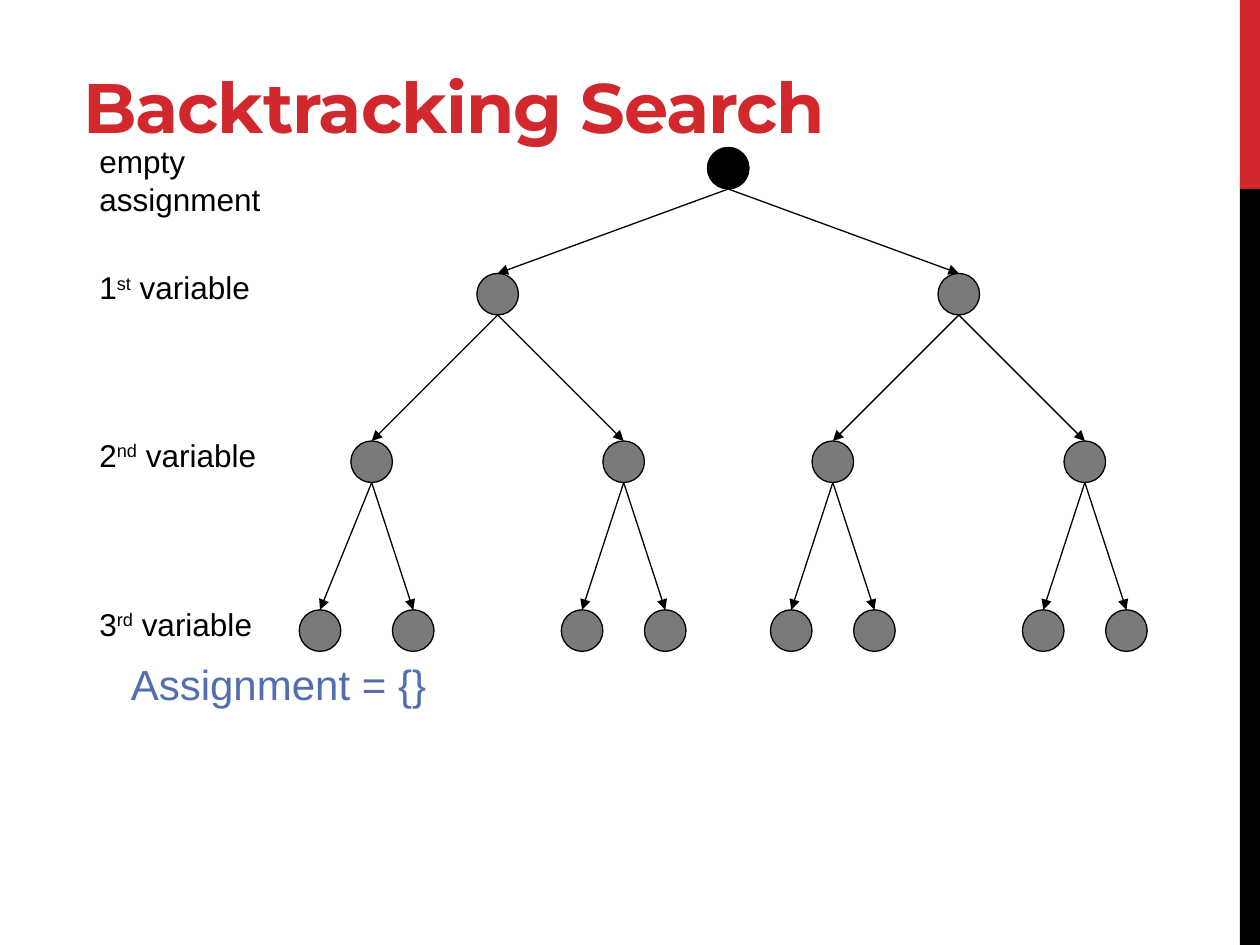
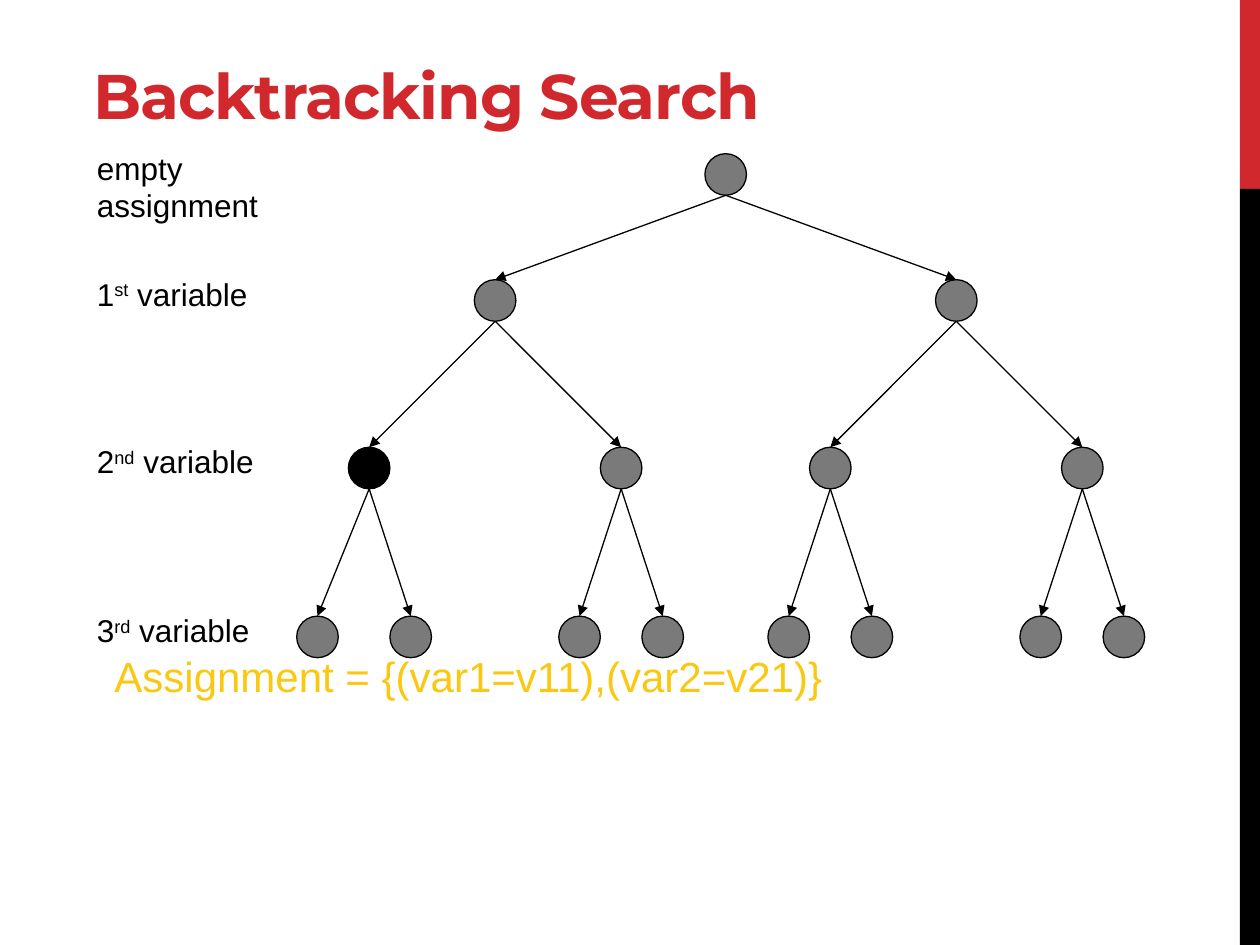
from pptx import Presentation
from pptx.dml.color import RGBColor
from pptx.enum.shapes import MSO_CONNECTOR as Connector, MSO_SHAPE as Shape
from pptx.enum.text import MSO_ANCHOR as Anchor, PP_ALIGN as Align
from pptx.oxml import parse_xml
from pptx.oxml.ns import nsdecls
from pptx.util import Inches, Pt

RED, BLACK, GRAY, BLUE, YELLOW = "D1282E", "000000", "7A7A7A", "526DB0", "FAC810"
NODE_SIZE = 0.33
LEVEL_TOPS = [0, 1, 2.33, 3.67]      # below the top of the root
CHILD_OFFSETS = [1.83, 1, 0.33]      # from the centre of the parent
FIRST_LEAF_SHIFT = -0.08             # the first leaf sits a little further out
LABELS = [("empty assignment", "", ""), ("1", "st", " variable"),
          ("2", "nd", " variable"), ("3", "rd", " variable")]

# title box, title size, root centre and top, current node (level, index),
# assignment text, its box and colour
SLIDES = [
    ((0.42, -0.31, 9.24, 1.5), 40, (5.78, 1.17), (0, 0),
     "Assignment = {}", (0.94, 5.18, 2.67, 0.5), BLUE),
    ((0.5, 0.17, 6.33, 0.9), 36, (5.76, 1.22), (2, 0),
     "Assignment = {(var1=v11),(var2=v21)}", (0.81, 5.11, 6.12, 0.5), YELLOW),
]


def color(hex_string):
    return RGBColor.from_string(hex_string)


def add_text(slide, box, parts, size, text_color):
    shape = slide.shapes.add_textbox(*map(Inches, box))
    shape.text_frame.word_wrap = True
    paragraph = shape.text_frame.paragraphs[0]
    for part in filter(None, parts):
        run = paragraph.add_run()
        run.text = part
        run.font.name, run.font.size = "Arial", Pt(size)
        run.font.color.rgb = color(text_color)
    return paragraph


presentation = Presentation()
presentation.slide_width, presentation.slide_height = Inches(10), Inches(7.5)
layout = presentation.slide_layouts.get_by_name("Title Only")
slides = [presentation.slides.add_slide(layout) for _ in SLIDES]

# Side bands, moved to the shared layout
for band_id, (top, height, fill) in enumerate([(0, 1.5, RED), (1.5, 6, BLACK)], 20):
    band = slides[0].shapes.add_shape(
        Shape.RECTANGLE, Inches(9.84), Inches(top), Inches(0.16), Inches(height))
    band.shadow.inherit = False
    band.fill.solid()
    band.fill.fore_color.rgb = color(fill)
    band.line.fill.background()
    band.element.nvSpPr.cNvPr.set("id", str(band_id))
    layout.element.cSld.spTree.append(band.element)

for slide, (title_box, title_size, root, current, assignment, assignment_box,
            assignment_color) in zip(slides, SLIDES):
    # Title
    title = slide.shapes.title
    title.left, title.top, title.width, title.height = map(Inches, title_box)
    frame = title.text_frame
    frame.text = "Backtracking Search"
    frame.vertical_anchor = Anchor.BOTTOM
    frame.margin_left, frame.margin_bottom = Inches(0.24), Inches(0.02)
    paragraph = frame.paragraphs[0]
    paragraph.alignment = Align.LEFT
    font = paragraph.runs[0].font
    font.name, font.size, font.bold = "Montserrat", Pt(title_size), True
    font.color.rgb = color(RED)
    paragraph.runs[0]._r.get_or_add_rPr().set("spc", "-60")

    # Tree: each level spreads from the centres of the one above
    root_x, root_top = root
    centers = [root_x]
    parents = []
    for level, level_top in enumerate(LEVEL_TOPS):
        top = root_top + level_top
        if level:
            offset = CHILD_OFFSETS[level - 1]
            centers = [x + side * offset for x in centers for side in (-1, 1)]
        if level == 3:
            centers[0] += FIRST_LEAF_SHIFT
        nodes = []
        for index, x in enumerate(centers):
            node = slide.shapes.add_shape(
                Shape.OVAL, Inches(x - NODE_SIZE / 2), Inches(top),
                Inches(NODE_SIZE), Inches(NODE_SIZE))
            node.shadow.inherit = False
            node.fill.solid()
            node.fill.fore_color.rgb = color(BLACK if (level, index) == current else GRAY)
            node.line.color.rgb = color(BLACK)
            node.line.width = Pt(0.75)
            nodes.append(node)

            # Arrow from the parent
            if level:
                parent = parents[index // 2]
                arrow = slide.shapes.add_connector(
                    Connector.STRAIGHT, parent.left + parent.width // 2,
                    parent.top + parent.height, Inches(x), Inches(top))
                arrow.end_connect(node, 0)
                arrow.line.color.rgb = color(BLACK)
                arrow.line.width = Pt(0.75)
                arrow.line._get_or_add_ln().append(
                    parse_xml(f'<a:tailEnd {nsdecls("a")} type="triangle"/>'))
                arrow.element.spPr.append(parse_xml(f'<a:effectLst {nsdecls("a")}/>'))
        parents = nodes

        # Level label
        label = add_text(slide, (root_x - 5.09, top - 0.09, 1.9, 0.4),
                         LABELS[level], 18, BLACK)
        if level:
            label.runs[1].font._element.set("baseline", "30000")

    # Current assignment
    add_text(slide, assignment_box, [assignment], 24, assignment_color)

presentation.save("out.pptx")
